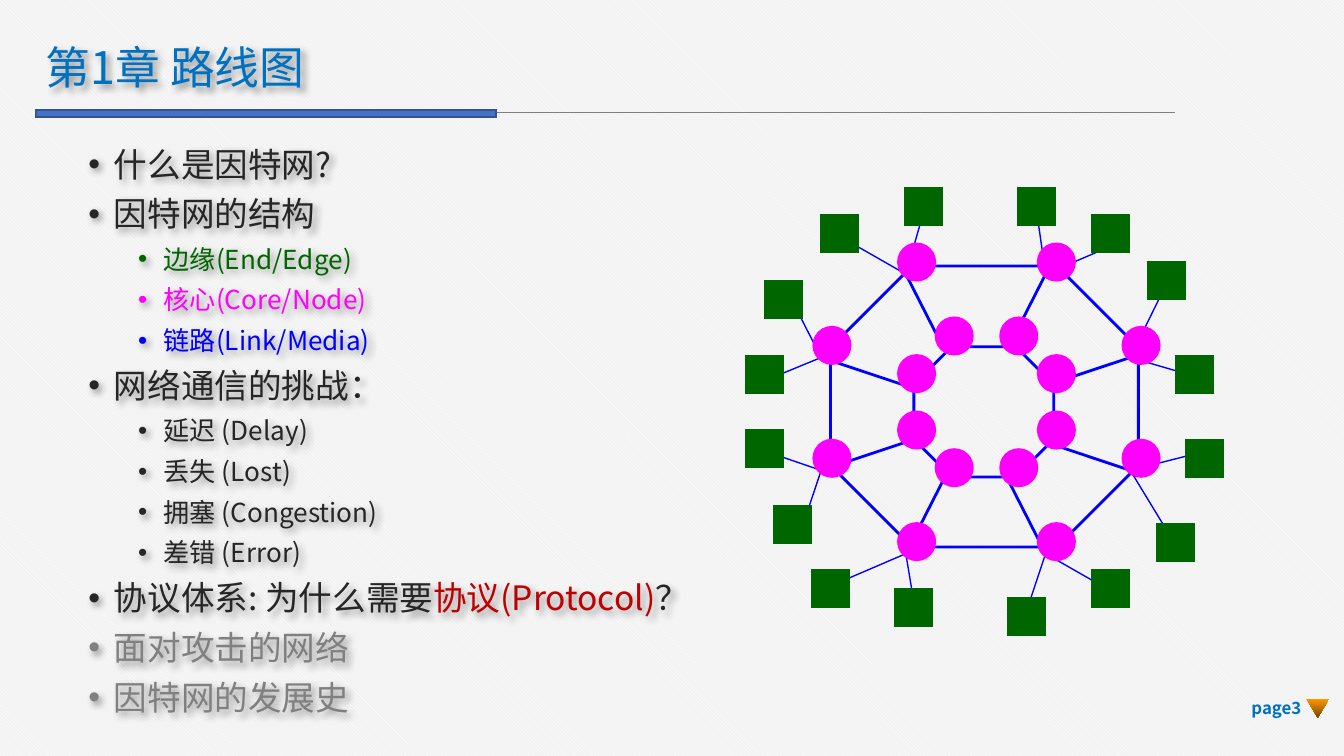
from dataclasses import dataclass
from itertools import product

from lxml import etree
from pptx import Presentation
from pptx.dml.color import RGBColor
from pptx.enum.dml import MSO_PATTERN
from pptx.enum.shapes import MSO_CONNECTOR, MSO_SHAPE
from pptx.enum.text import MSO_ANCHOR, PP_ALIGN
from pptx.oxml import parse_xml
from pptx.oxml.ns import nsdecls, qn
from pptx.util import Pt

STRAIGHT = MSO_CONNECTOR.STRAIGHT
RECTANGLE, OVAL = MSO_SHAPE.RECTANGLE, MSO_SHAPE.OVAL
OCTAGON, TRIANGLE = MSO_SHAPE.OCTAGON, MSO_SHAPE.FLOWCHART_MERGE
TOP, MIDDLE = MSO_ANCHOR.TOP, MSO_ANCHOR.MIDDLE
LEFT, RIGHT = PP_ALIGN.LEFT, PP_ALIGN.RIGHT
EMU_PER_PX = 9144


@dataclass(frozen=True)
class Theme:
    font: str = "Noto Sans CJK SC"
    title: str = "0070C0"
    text: str = "262626"
    muted: str = "808080"
    alert: str = "C00000"
    edge: str = "006600"
    core: str = "FF00FF"
    link: str = "0000FF"
    rule: str = "7F7F7F"
    bar: str = "4472C4"
    bar_outline: str = "325491"
    stripe: str = "FFFFFF"
    background: str = "F2F2F2"
    shadow: str = "000000"
    marker: tuple = ("FF9900", "764700")
    title_size: int = 24
    level_sizes: tuple = (18, 14)
    page_size: int = 9
    thin: float = 0.75
    thick: float = 1.5


THEME = Theme()

TITLE = "第1章 路线图"
OUTLINE = [
    (0, [("什么是因特网?", THEME.text)]),
    (0, [("因特网的结构", THEME.text)]),
    (1, [("边缘(End/Edge)", THEME.edge)]),
    (1, [("核心(Core/Node)", THEME.core)]),
    (1, [("链路(Link/Media)", THEME.link)]),
    (0, [("网络通信的挑战：", THEME.text)]),
    (1, [("延迟 (Delay)", THEME.text)]),
    (1, [("丢失 (Lost)", THEME.text)]),
    (1, [("拥塞 (Congestion)", THEME.text)]),
    (1, [("差错 (Error)", THEME.text)]),
    (0, [("协议体系: 为什么需要", THEME.text), ("协议(Protocol)", THEME.alert), ("？", THEME.text)]),
    (0, [("面对攻击的网络", THEME.muted)]),
    (0, [("因特网的发展史", THEME.muted)]),
]
LEVEL_INDENTS = (19, 56)
HANGING = 19

NODE_CENTER, LINK_CENTER = (734, 299), (726, 308)
OUTER_RING = [(52, 104), (115, 42)]
INNER_RING = [(24, 49), (52, 21)]
RING_OUTLINES = [(618, 198, 229, 209), (680, 258, 104, 97)]
NODE_SIZE = 28
HOSTS = {
    (-52, 104): [((604, 424), (625, 433)), ((666, 438), (681, 454))],
    (-115, 42): [((555, 320), (570, 336)), ((576, 376), (597, 392))],
    (52, 104): [((750, 445), (764, 454)), ((812, 424), (827, 440))],
    (115, 42): [((861, 390), (875, 406)), ((882, 327), (896, 336))],
    (-115, -42): [((569, 209), (590, 225)), ((555, 265), (577, 280))],
    (-52, -104): [((673, 140), (688, 155)), ((611, 160), (625, 176))],
    (52, -104): [((757, 140), (771, 155)), ((812, 160), (827, 183))],
    (115, -42): [((854, 195), (868, 211)), ((875, 265), (889, 280))],
}


def px(value):
    return round(value * EMU_PER_PX)


def rgb(color):
    return RGBColor.from_string(color)


def offset(center, delta, signs=(1, 1)):
    return tuple(c + d * s for c, d, s in zip(center, delta, signs))


def add_shape(slide, kind, box, fill=None, line=None, width=THEME.thin):
    shape = slide.shapes.add_shape(kind, *map(px, box))
    shape.shadow.inherit = False
    if fill:
        shape.fill.solid()
        shape.fill.fore_color.rgb = rgb(fill)
    else:
        shape.fill.background()
    if line:
        shape.line.color.rgb = rgb(line)
        shape.line.width = Pt(width)
        etree.SubElement(shape.line._get_or_add_ln(), qn("a:miter"), lim="800000")
    else:
        shape.line.fill.background()
    return shape


def add_line(slide, start, end, color=THEME.link, width=THEME.thin):
    connector = slide.shapes.add_connector(STRAIGHT, *map(px, (*start, *end)))
    connector.line.color.rgb = rgb(color)
    connector.line.width = Pt(width)
    etree.SubElement(connector._element.spPr, qn("a:effectLst"))


def add_shadow(shape):
    shape._element.spPr.append(parse_xml(
        f'<a:effectLst {nsdecls("a")}><a:outerShdw blurRad="50800" dist="38100" dir="2700000" algn="tl">'
        f'<a:srgbClr val="{THEME.shadow}"><a:alpha val="40000"/></a:srgbClr></a:outerShdw></a:effectLst>'))


def add_run(paragraph, text, size, color, bold=False):
    run = paragraph.add_run()
    run.text = text
    run.font.size = Pt(size)
    run.font.bold = bold
    run.font.color.rgb = rgb(color)
    run.font.name = THEME.font
    etree.SubElement(run._r.get_or_add_rPr(), qn("a:ea"), typeface=THEME.font)


def add_bullet(paragraph, level):
    properties = paragraph._p.get_or_add_pPr()
    properties.set("marL", str(px(LEVEL_INDENTS[level])))
    properties.set("indent", str(-px(HANGING)))
    etree.SubElement(properties, qn("a:buFont"), typeface="Arial")
    etree.SubElement(properties, qn("a:buChar"), char="•")


def add_text(slide, box, paragraphs, sizes, anchor=TOP, align=LEFT, spacing=1.0,
             before=0, bullets=False, bold=False, shadow=False):
    shape = slide.shapes.add_textbox(*map(px, box))
    if shadow:
        add_shadow(shape)
    frame = shape.text_frame
    frame.word_wrap = True
    frame.vertical_anchor = anchor
    for index, (level, runs) in enumerate(paragraphs):
        paragraph = frame.add_paragraph() if index else frame.paragraphs[0]
        paragraph.level = level
        if bullets:
            add_bullet(paragraph, level)
        paragraph.alignment = align
        paragraph.line_spacing = spacing
        paragraph.space_before = Pt(before if index else 0)
        for text, color in runs:
            add_run(paragraph, text, sizes[level], color, bold)
    return frame


def add_network(slide):
    quadrants = list(product((-1, 1), repeat=2))
    for box in RING_OUTLINES:
        octagon = add_shape(slide, OCTAGON, box, line=THEME.link, width=THEME.thick)
        octagon.adjustments[0] = 0.29
    for (outer, inner), signs in product(zip(OUTER_RING, INNER_RING), quadrants):
        add_line(slide, offset(LINK_CENTER, outer, signs),
                 offset(LINK_CENTER, inner, signs), width=THEME.thick)
    for hub, hosts in HOSTS.items():
        for _, end in hosts:
            add_line(slide, offset(LINK_CENTER, hub), end)
    for delta, signs in product(OUTER_RING + INNER_RING, quadrants):
        x, y = offset(NODE_CENTER, delta, signs)
        box = (x - NODE_SIZE / 2, y - NODE_SIZE / 2, NODE_SIZE, NODE_SIZE)
        add_shape(slide, OVAL, box, THEME.core, THEME.core)
    for hosts in HOSTS.values():
        for corner, _ in hosts:
            add_shape(slide, RECTANGLE, (*corner, NODE_SIZE, NODE_SIZE), THEME.edge, THEME.edge)


def add_page_marker(slide):
    add_text(slide, (909, 512, 69, 30), [(0, [("page3", THEME.title)])], (THEME.page_size,),
             anchor=MIDDLE, align=RIGHT, bold=True)
    marker = add_shape(slide, TRIANGLE, (972, 520, 17, 14))
    marker.fill.gradient()
    marker.fill.gradient_angle = 270
    for stop, color in zip(marker.fill.gradient_stops, THEME.marker):
        stop.color.rgb = rgb(color)


def main():
    presentation = Presentation()
    presentation.slide_width, presentation.slide_height = px(1000), px(562.5)
    slide = presentation.slides.add_slide(presentation.slide_layouts[6])
    background = slide.background.fill
    background.patterned()
    background.pattern = MSO_PATTERN.DARK_DOWNWARD_DIAGONAL
    background.fore_color.rgb = rgb(THEME.stripe)
    background.back_color.rgb = rgb(THEME.background)

    add_line(slide, (874, 84), (27, 84), THEME.rule, 0.5)
    add_shape(slide, RECTANGLE, (27, 82, 342, 5), THEME.bar, THEME.bar_outline, 1)
    title = add_text(slide, (27, 30, 426, 44), [(0, [(TITLE, THEME.title)])],
                     (THEME.title_size,), anchor=MIDDLE, spacing=0.9, shadow=True)
    title.margin_left = title.margin_right = px(7)
    title.margin_top = title.margin_bottom = px(4)
    add_text(slide, (56, 102, 536, 447), OUTLINE, THEME.level_sizes,
             before=5, bullets=True, shadow=True)
    add_network(slide)
    add_page_marker(slide)
    presentation.save("out.pptx")


if __name__ == "__main__":
    main()
